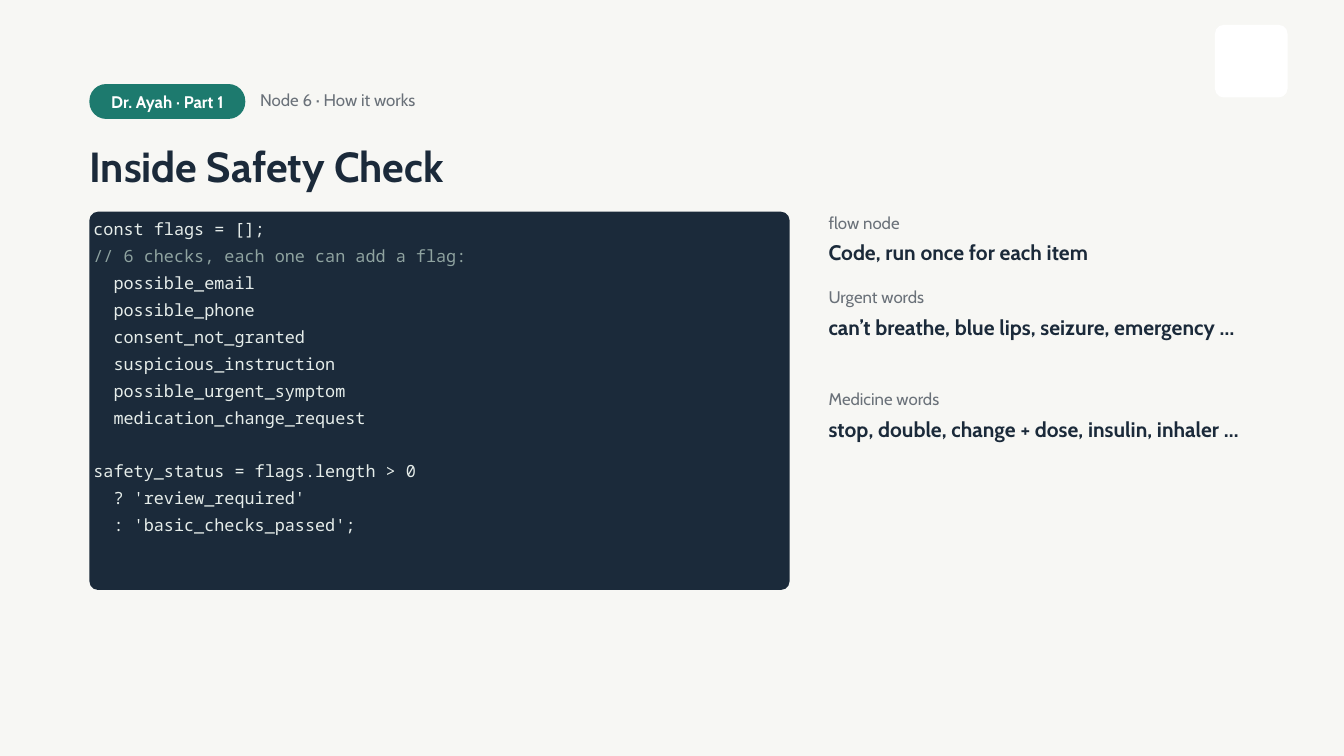
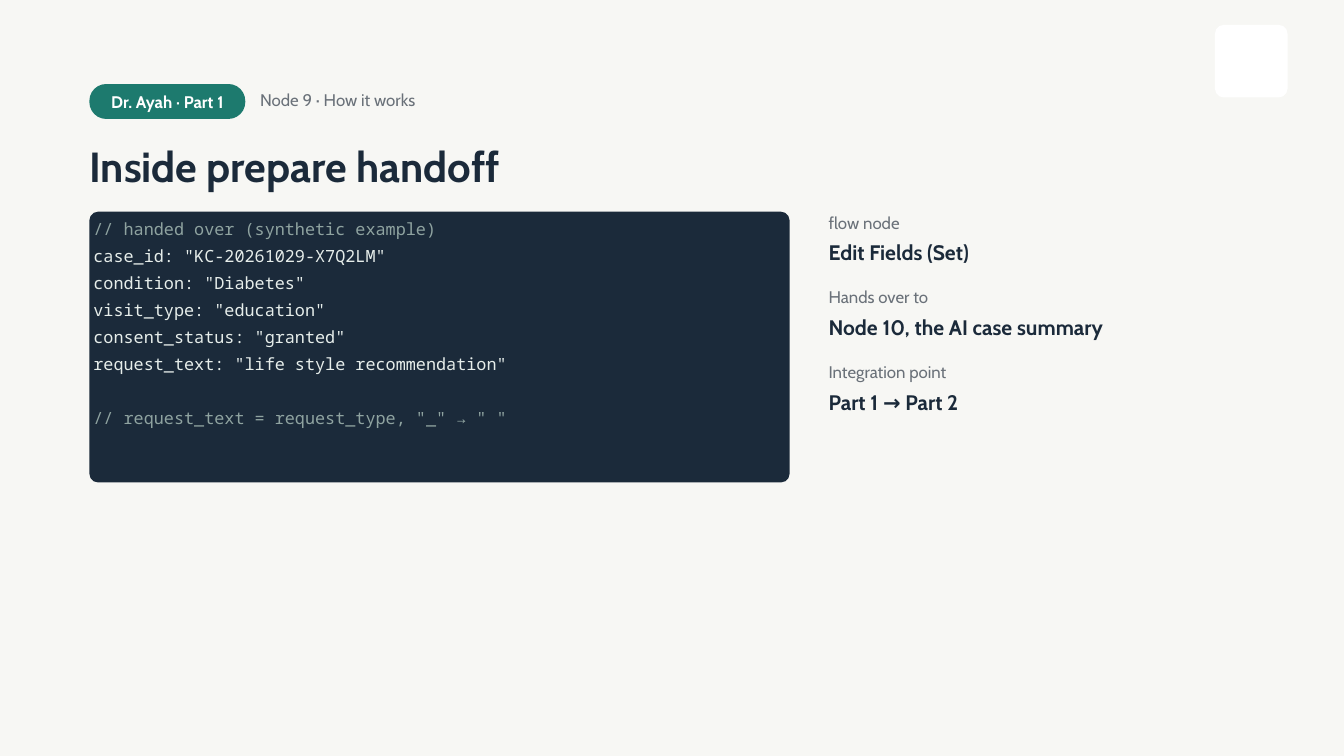
from dataclasses import dataclass

from pptx import Presentation
from pptx.dml.color import RGBColor
from pptx.enum import shapes, text
from pptx.util import Inches, Pt

PART = "Dr. Ayah · Part 1"

# Each fact: label, value, lines reserved for the value
SLIDES = [
    {
        "step": "Node 6 · How it works",
        "title": "Inside Safety Check",
        "code": """const flags = [];
// 6 checks, each one can add a flag:
  possible_email
  possible_phone
  consent_not_granted
  suspicious_instruction
  possible_urgent_symptom
  medication_change_request

safety_status = flags.length > 0
  ? 'review_required'
  : 'basic_checks_passed';""",
        "facts": [
            ("flow node", "Code, run once for each item", 1),
            ("Urgent words", "can’t breathe, blue lips, seizure, emergency …", 2),
            ("Medicine words", "stop, double, change + dose, insulin, inhaler …", 2),
        ],
    },
    {
        "step": "Node 9 · How it works",
        "title": "Inside prepare handoff",
        "code": """// handed over (synthetic example)
case_id: "KC-20261029-X7Q2LM"
condition: "Diabetes"
visit_type: "education"
consent_status: "granted"
request_text: "life style recommendation"

// request_text = request_type, "_" → " \"""",
        "facts": [
            ("flow node", "Edit Fields (Set)", 1),
            ("Hands over to", "Node 10, the AI case summary", 1),
            ("Integration point", "Part 1 → Part 2", 1),
        ],
    },
]


@dataclass(frozen=True)
class Style:
    size: float
    leading: float
    color: str
    bold: bool = False
    font: str = "Cabin"


class Theme:
    paper, card, teal, navy = "F7F7F4", "FFFFFF", "1D7A6E", "1B2A3A"
    title = Style(45, 51.7, navy, True)
    pill = Style(18, 25.2, card, True)
    label = Style(18, 25.2, "6A7179")
    value = Style(22.5, 29.2, navy, True)
    code = Style(18, 28.8, "E6EDEA", font="Noto Sans Mono")
    comment = Style(18, 28.8, "8FA3A0", font="Noto Sans Mono")


LEFT = 1.33
CORNER = 0.13
PANEL_TOP, PANEL_WIDTH = 3.15, 10.42
PANEL_PADDING = 0.83
FACT_LEFT, FACT_TOP, FACT_WIDTH = 12.33, 3.11, 6.52
LABEL_HEIGHT, VALUE_HEIGHT, EXTRA_LINE, FACT_GAP = 0.43, 0.47, 0.41, 0.21


def inches(*lengths):
    return [Inches(length) for length in lengths]


def paint(fill, color):
    fill.solid()
    fill.fore_color.rgb = RGBColor.from_string(color)


def write(frame, lines, inset=0, **formats):
    """Fill a frame with (text, style) lines; an empty line becomes space before the next."""
    margins = dict.fromkeys(
        ("margin_left", "margin_top", "margin_right", "margin_bottom"), Inches(inset))
    settings = {"word_wrap": True, "auto_size": text.MSO_AUTO_SIZE.NONE,
                "vertical_anchor": text.MSO_ANCHOR.TOP, **margins, **formats}
    align = settings.pop("align", text.PP_ALIGN.LEFT)
    for name, setting in settings.items():
        setattr(frame, name, setting)

    paragraph, skipped = None, 0
    for words, style in lines:
        if not words:
            skipped += style.leading
            continue
        paragraph = frame.add_paragraph() if paragraph else frame.paragraphs[0]
        paragraph.alignment = align
        paragraph.line_spacing = Pt(style.leading)
        paragraph.space_before, skipped = Pt(skipped), 0
        run = paragraph.add_run()
        run.text = words
        for name, setting in {"name": style.font, "size": Pt(style.size),
                              "bold": style.bold}.items():
            setattr(run.font, name, setting)
        run.font.color.rgb = RGBColor.from_string(style.color)


def add_text(slide, box, lines, **formats):
    write(slide.shapes.add_textbox(*inches(*box)).text_frame, lines, **formats)


def add_rounded(slide, box, color, radius):
    shape = slide.shapes.add_shape(shapes.MSO_SHAPE.ROUNDED_RECTANGLE, *inches(*box))
    shape.adjustments[0] = radius / min(box[2:])
    shape.shadow.inherit = False
    shape.line.fill.background()
    paint(shape.fill, color)
    return shape


def add_header(slide, step, title):
    add_rounded(slide, (18.08, 0.37, 1.08, 1.08), Theme.card, CORNER)
    pill = add_rounded(slide, (LEFT, 1.25, 2.32, 0.52), Theme.teal, 0.25)
    write(pill.text_frame, [(PART, Theme.pill)], align=text.PP_ALIGN.CENTER,
          vertical_anchor=text.MSO_ANCHOR.MIDDLE, margin_bottom=Inches(0.03))
    add_text(slide, (3.87, 1.29, 2.95, 0.43), [(step, Theme.label)])

    heading = slide.shapes.title
    places = inches(LEFT, 2.13, 15.88, 0.73)
    for name, length in zip(("left", "top", "width", "height"), places):
        setattr(heading, name, length)
    write(heading.text_frame, [(title, Theme.title)])


def add_code(slide, code):
    lines = [(line, Theme.comment if line.startswith("//") else Theme.code)
             for line in code.splitlines()]
    height = len(lines) * Theme.code.leading / 72 + PANEL_PADDING
    add_rounded(slide, (LEFT, PANEL_TOP, PANEL_WIDTH, height), Theme.navy, CORNER)
    add_text(slide, (LEFT, PANEL_TOP - 0.05, PANEL_WIDTH, height + 0.05), lines, inset=0.06)


def add_facts(slide, facts):
    top = FACT_TOP
    for label, value, line_count in facts:
        value_height = VALUE_HEIGHT + (line_count - 1) * EXTRA_LINE
        for words, style, height in ((label, Theme.label, LABEL_HEIGHT),
                                     (value, Theme.value, value_height)):
            add_text(slide, (FACT_LEFT, top, FACT_WIDTH, height), [(words, style)])
            top += height
        top += FACT_GAP


def main():
    deck = Presentation()
    deck.slide_width, deck.slide_height = inches(20, 11.25)
    paint(deck.slide_master.background.fill, Theme.paper)
    title_only = deck.slide_layouts[5]
    for content in SLIDES:
        slide = deck.slides.add_slide(title_only)
        add_header(slide, content["step"], content["title"])
        add_code(slide, content["code"])
        add_facts(slide, content["facts"])
    deck.save("out.pptx")


if __name__ == "__main__":
    main()
